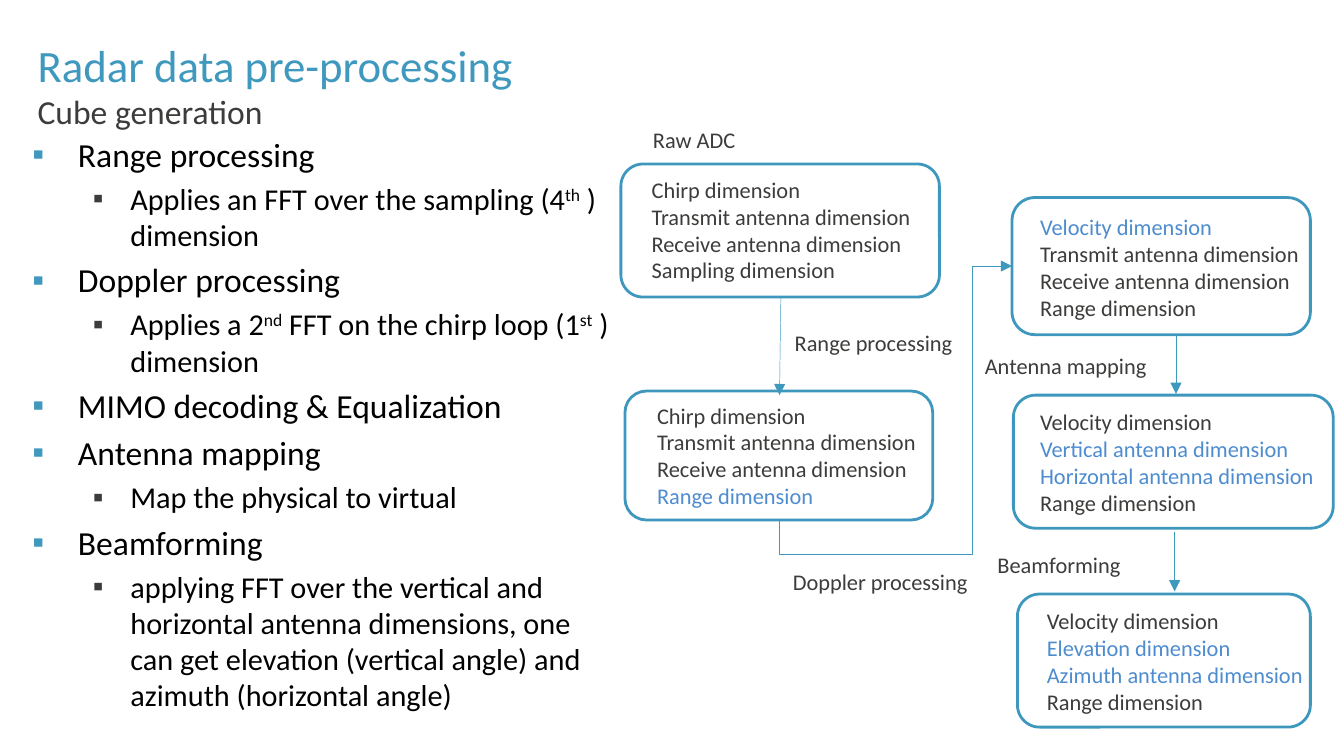
from dataclasses import dataclass

from lxml.etree import SubElement
from pptx import Presentation
from pptx.dml.color import RGBColor
from pptx.enum.shapes import MSO_CONNECTOR as Link, MSO_SHAPE as Shape
from pptx.enum.text import MSO_ANCHOR as Anchor, MSO_AUTO_SIZE as AutoSize, PP_ALIGN as Align
from pptx.oxml.ns import qn
from pptx.util import Inches, Pt


@dataclass(frozen=True)
class Theme:
    font: str = "Calibri"
    accent: str = "3F98BD"
    outline: str = "3E98BD"
    changed: str = "4E8CD0"
    grey: str = "3C3C3B"
    black: str = "000000"
    title: float = 24
    heading: float = 18
    detail: float = 16.2
    label: float = 12
    box_line: float = 1.5
    arrow_line: float = 0.25


THEME = Theme()

# Level and text of each list item; text between carets is superscript
STEPS = [
    (0, "Range processing"),
    (1, "Applies an FFT over the sampling (4^th^ ) dimension"),
    (0, "Doppler processing"),
    (1, "Applies a 2^nd^ FFT on the chirp loop (1^st^ ) dimension"),
    (0, "MIMO decoding & Equalization"),
    (0, "Antenna mapping"),
    (1, "Map the physical to virtual"),
    (0, "Beamforming"),
    (1, "applying FFT over the vertical and horizontal antenna dimensions, "
        "one can get elevation (vertical angle) and azimuth (horizontal angle)"),
]
# Per level: left margin, hanging indent, size, bullet colour
LEVELS = [(0.34, -0.34, THEME.heading, THEME.accent),
          (0.73, -0.28, THEME.detail, THEME.grey)]

# Cube stages: text area, box, dimensions, and which of them are new
STAGES = [
    ((4.3, 1.26, 3.02, 0.91), (4.62, 1.22, 2.37, 0.99),
     ["Chirp", "Transmit antenna", "Receive antenna", "Sampling"], []),
    ((4.34, 2.94, 2.92, 0.7), (4.65, 2.91, 2.29, 0.96),
     ["Chirp", "Transmit antenna", "Receive antenna", "Range"], ["Range"]),
    ((7.19, 1.54, 3.12, 0.75), (7.53, 1.47, 2.22, 1.02),
     ["Velocity", "Transmit antenna", "Receive antenna", "Range"], ["Velocity"]),
    ((7.19, 2.99, 3.08, 0.72), (7.54, 2.94, 2.38, 0.99),
     ["Velocity", "Vertical antenna", "Horizontal antenna", "Range"],
     ["Vertical antenna", "Horizontal antenna"]),
    ((7.24, 4.47, 3.12, 0.72), (7.57, 4.42, 2.18, 0.99),
     ["Velocity", "Elevation", "Azimuth antenna", "Range"],
     ["Elevation", "Azimuth antenna"]),
]
STAGE_INDENT = 0.45

OPERATIONS = [
    ("Range processing", (5.47, 2.4, 2.06, 0.3)),
    ("Doppler processing", (5.52, 4.18, 2.06, 0.3)),
    ("Antenna mapping", (6.86, 2.57, 2.14, 0.3)),
    ("Beamforming", (6.85, 4.05, 2.06, 0.3)),
]
STRAIGHT_ARROWS = [(5.81, 2.21, 5.8, 2.94), (8.75, 2.49, 8.75, 2.93), (8.74, 3.96, 8.74, 4.4)]


def apply(target, values):
    for attribute, value in values.items():
        setattr(target, attribute, value)


def place(shape, area):
    apply(shape, dict(zip(("left", "top", "width", "height"), map(Inches, area))))


def add_run(paragraph, text, size, color):
    run = paragraph.add_run()
    apply(run, {"text": text})
    apply(run.font, {"name": THEME.font, "size": Pt(size)})
    run.font.color.rgb = RGBColor.from_string(color)
    return run


def paragraphs(frame, count):
    return [frame.paragraphs[0]] + [frame.add_paragraph() for _ in range(count - 1)]


def set_indent(paragraph, margin, hanging=0, bullet_color=None):
    props = paragraph._p.get_or_add_pPr()
    props.set("marL", str(Inches(margin)))
    props.set("indent", str(Inches(hanging)))
    if bullet_color:
        color = SubElement(props, qn("a:buClr"))
        SubElement(color, qn("a:srgbClr")).set("val", bullet_color)
        SubElement(props, qn("a:buFont")).set("typeface", "Arial")
        SubElement(props, qn("a:buChar")).set("char", "▪")
    else:
        SubElement(props, qn("a:buNone"))


def fill_heading(placeholder, area, text, size, color, anchor):
    place(placeholder, area)
    frame = placeholder.text_frame
    apply(frame, {"vertical_anchor": anchor, "word_wrap": True,
                  "auto_size": AutoSize.SHAPE_TO_FIT_TEXT})
    paragraph = frame.paragraphs[0]
    paragraph.alignment = Align.LEFT
    set_indent(paragraph, 0)
    add_run(paragraph, text, size, color)


def fill_steps(placeholder, area):
    place(placeholder, area)
    frame = placeholder.text_frame
    apply(frame, {"vertical_anchor": Anchor.MIDDLE, "word_wrap": True,
                  "auto_size": AutoSize.NONE})
    for paragraph, (level, text) in zip(paragraphs(frame, len(STEPS)), STEPS):
        margin, hanging, size, bullet_color = LEVELS[level]
        paragraph.level = level
        set_indent(paragraph, margin, hanging, bullet_color)
        for position, part in enumerate(text.split("^")):
            run = add_run(paragraph, part, size, THEME.black)
            if position % 2:
                run.font._element.set("baseline", "30000")


def add_label(slide, area, lines, align=Align.LEFT, margin=0):
    """Add a small text block; lines are (text, colour) pairs."""
    frame = slide.shapes.add_textbox(*map(Inches, area)).text_frame
    apply(frame, {"word_wrap": True, "auto_size": AutoSize.SHAPE_TO_FIT_TEXT})
    for paragraph, (text, color) in zip(paragraphs(frame, len(lines)), lines):
        apply(paragraph, {"alignment": align, "level": 1 if margin else 0})
        set_indent(paragraph, margin)
        add_run(paragraph, text, THEME.label, color)


def add_stage(slide, text_area, box_area, dimensions, changed):
    lines = [(f"{name} dimension", THEME.changed if name in changed else THEME.grey)
             for name in dimensions]
    add_label(slide, text_area, lines, margin=STAGE_INDENT)
    box = slide.shapes.add_shape(Shape.ROUNDED_RECTANGLE, *map(Inches, box_area))
    box.shadow.inherit = False
    box.fill.background()
    box.line.width = Pt(THEME.box_line)
    box.line.color.rgb = RGBColor.from_string(THEME.outline)


def add_arrow(slide, ends, kind=Link.STRAIGHT):
    arrow = slide.shapes.add_connector(kind, *map(Inches, ends))
    arrow.line.width = Pt(THEME.arrow_line)
    arrow.line.color.rgb = RGBColor.from_string(THEME.accent)
    SubElement(arrow.line._get_or_add_ln(), qn("a:tailEnd")).set("type", "triangle")
    SubElement(arrow._element.spPr, qn("a:effectLst"))
    return arrow


def add_doppler_arrow(slide):
    """Lead down, across and up: a four-part elbow turned by 90 degrees."""
    arrow = add_arrow(slide, (7.61, 3.79, 5.72, 2.06), Link.ELBOW)
    arrow._element.spPr.find(qn("a:xfrm")).set("rot", str(90 * 60000))
    geometry = arrow._element.spPr.find(qn("a:prstGeom"))
    geometry.set("prst", "bentConnector4")
    guides = geometry.find(qn("a:avLst"))
    for name, value in (("adj1", -13300), ("adj2", 83100)):
        guide = SubElement(guides, qn("a:gd"))
        guide.set("name", name)
        guide.set("fmla", f"val {value}")


def main():
    deck = Presentation()
    # Widescreen, 16 to 9
    apply(deck, {"slide_width": Inches(10), "slide_height": Inches(10) * 9 // 16})
    slide = deck.slides.add_slide(deck.slide_layouts[3])
    title, steps, subtitle = slide.placeholders

    # Headings and list
    fill_heading(title, (0.18, 0.23, 9.57, 0.5), "Radar data pre-processing",
                 THEME.title, THEME.accent, Anchor.BOTTOM)
    fill_steps(steps, (0.14, 1.03, 4.5, 4.24))
    fill_heading(subtitle, (0.18, 0.63, 9.57, 0.4), "Cube generation",
                 THEME.heading, THEME.grey, Anchor.TOP)

    # Cube stages and the operations between them
    for text, area in OPERATIONS:
        add_label(slide, area, [(text, THEME.grey)], align=Align.CENTER)
    add_label(slide, (4.31, 0.89, 1.55, 0.3), [("Raw ADC", THEME.grey)], margin=STAGE_INDENT)
    for stage in STAGES:
        add_stage(slide, *stage)

    # Flow
    for ends in STRAIGHT_ARROWS:
        add_arrow(slide, ends)
    add_doppler_arrow(slide)

    deck.save("out.pptx")


if __name__ == "__main__":
    main()
